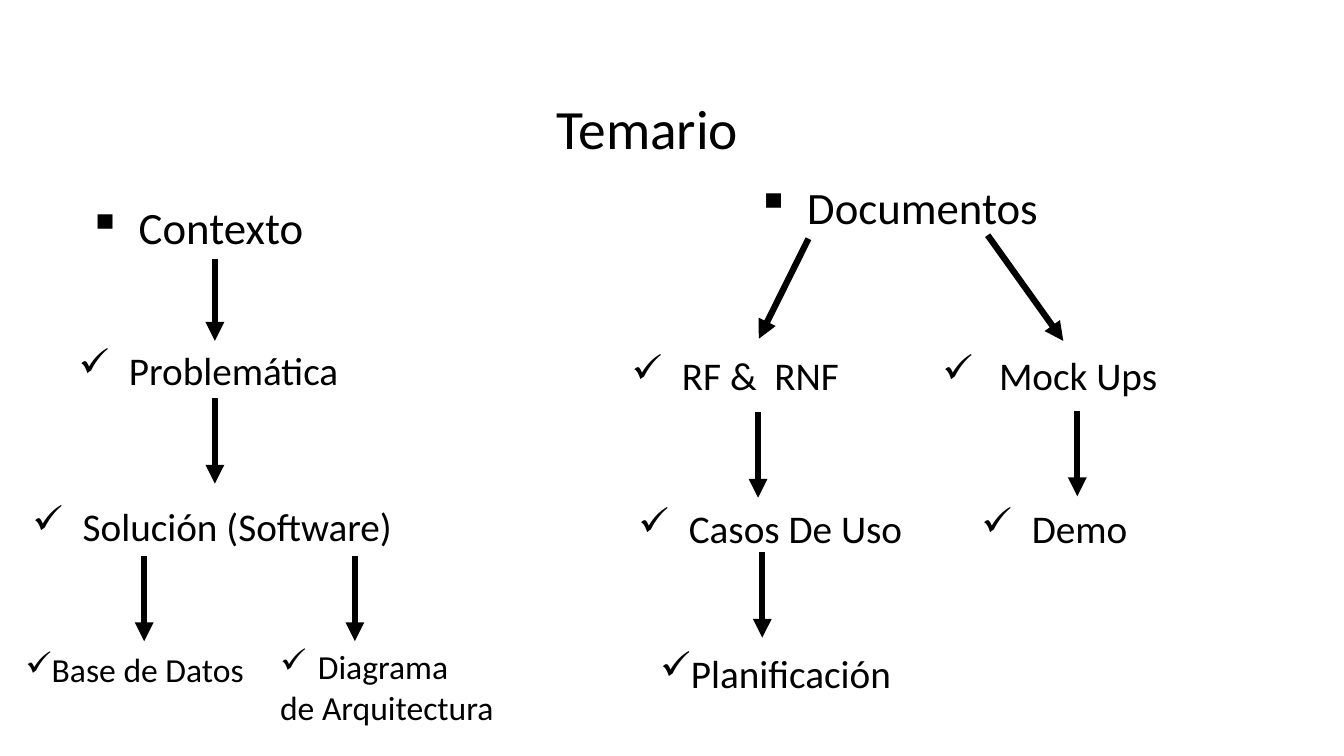
import pptx
import pptx.util
import pptx.dml.color
import pptx.enum.shapes
import pptx.enum.text
import pptx.oxml
import pptx.oxml.ns

Pt = pptx.util.Pt
BLACK = pptx.dml.color.RGBColor(0, 0, 0)
ARROW_WIDTH = 4.5
ARROW_LENGTH = 61
BOTTOM, TOP = 2, 0

prs = pptx.Presentation()
prs.slide_width, prs.slide_height = Pt(960), Pt(540)
s = prs.slides.add_slide(prs.slide_layouts[6])


def add_text(text, box, size, bullet=None, indent=0, spacing=1.0, wrap=False):
    sp = s.shapes.add_textbox(*[Pt(v) for v in box])
    tf = sp.text_frame
    tf.word_wrap = wrap
    for i, line in enumerate(text.split("\n")):
        p = tf.paragraphs[0] if i == 0 else tf.add_paragraph()
        r = p.add_run()
        r.text = line
        p.line_spacing = spacing
        if bullet and i == 0:
            pPr = p._p.get_or_add_pPr()
            pPr.set("marL", str(Pt(indent)))
            pPr.set("indent", str(-Pt(indent)))
            bu = pptx.oxml.ns.qn("a:buChar")
            pPr.append(pPr.makeelement(bu, {"char": bullet}))
        for name, value in {"name": "Calibri", "size": Pt(size)}.items():
            setattr(r.font, name, value)
        r.font.color.rgb = BLACK
    return sp


def add_arrow(x1, y1, x2, y2):
    c = s.shapes.add_connector(pptx.enum.shapes.MSO_CONNECTOR.STRAIGHT,
                               Pt(x1), Pt(y1), Pt(x2), Pt(y2))
    c.line.width = Pt(ARROW_WIDTH)
    c.line.color.rgb = BLACK
    ln = c.line._get_or_add_ln()
    ln.append(ln.makeelement(pptx.oxml.ns.qn("a:tailEnd"), {"type": "triangle"}))
    spPr = c._element.spPr
    spPr.append(spPr.makeelement(pptx.oxml.ns.qn("a:effectLst"), {}))
    return c


# Title
title = add_text("Temario", (382.5, 67, 160, 54), 39.6, spacing=0.9, wrap=True)
title.text_frame.vertical_anchor = pptx.enum.text.MSO_ANCHOR.MIDDLE
title.text_frame.paragraphs[0].alignment = pptx.enum.text.PP_ALIGN.CENTER

# Branch headings
for text, box in [
    ("Contexto", (56, 139, 170, 46)),
    ("Documentos", (533.5, 124.5, 217.5, 46)),
]:
    add_text(text, box, 32, "▪", 36)

# Topics
topics = {}
for text, box, indent in [
    ("Problemática", (49, 243.5, 209, 41), 36),
    ("Solución (Software)", (16, 355.5, 275, 41), 36),
    ("RF &  RNF", (444, 247.5, 165, 41), 36),
    ("Casos De Uso", (449, 357, 205, 41), 36),
    ("Mock Ups", (666, 247.5, 170, 41), 40.5),
    ("Demo", (694, 357, 119.5, 41), 36),
]:
    topics[text] = add_text(text, box, 28, "✓", indent)

# Last level
add_text("Base de Datos", (11, 463.5, 201.5, 37), 24, "✓", 18, 0.9, True)
add_text("Diagrama\nde Arquitectura", (193, 458, 168.5, 65.5), 24, "✓", 27)
add_text("Planificación", (464.5, 466.5, 201.5, 37), 28, "✓", 18, 0.8, True)

# Arrows around the first topic
add_arrow(153.5, 185, 153.5, 243.5).end_connect(topics["Problemática"], TOP)
add_arrow(153.5, 284.5, 153.5, 345.5).begin_connect(topics["Problemática"], BOTTOM)

# Other vertical arrows
for x, y in [(103, 397), (253.5, 397), (541.5, 294.5),
             (544.5, 394.5), (769.5, 293.5)]:
    add_arrow(x, y, x, y + ARROW_LENGTH)

# Slanted arrows from the second heading
add_arrow(577.5, 170.5, 542, 242)
add_arrow(705.5, 168, 759.5, 243.5)

prs.save("out.pptx")
